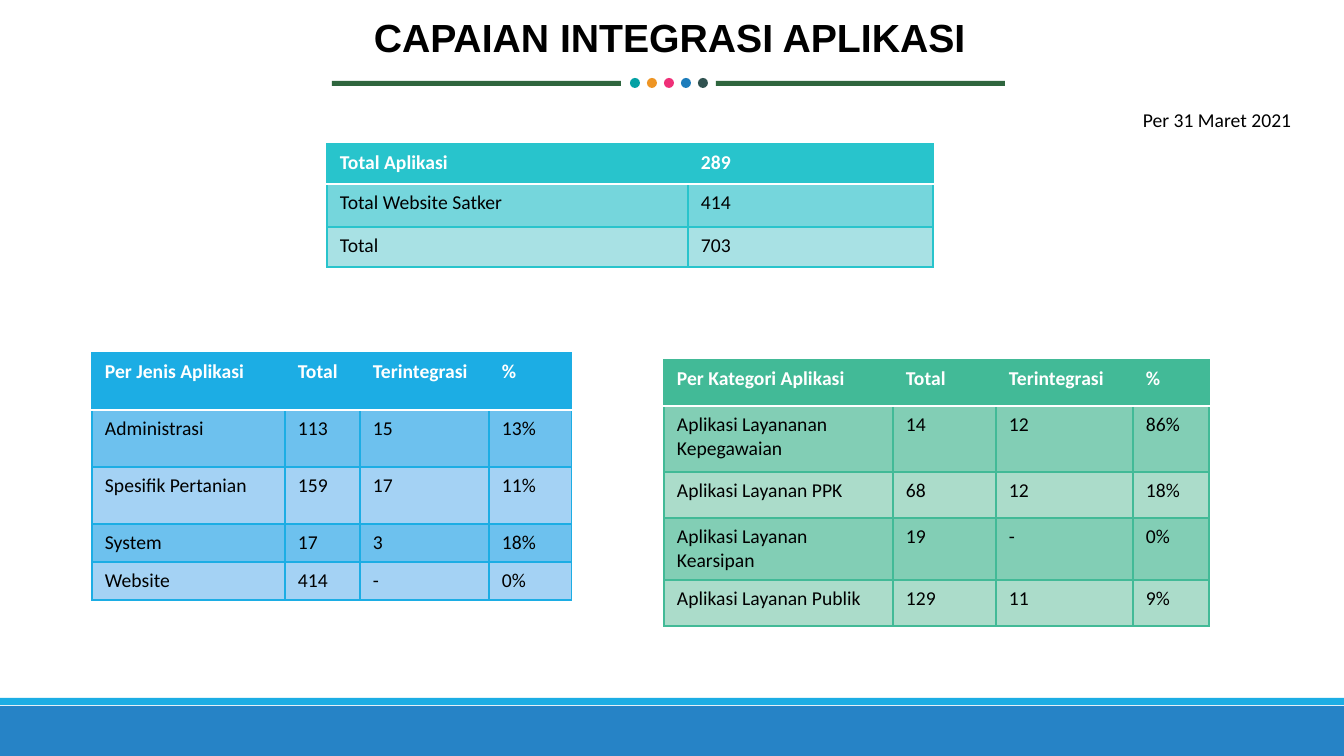
"""Build the slide on application integration results as of 31 March 2021."""
from lxml import etree
from pptx import Presentation
from pptx.dml.color import RGBColor
from pptx.enum.shapes import MSO_SHAPE
from pptx.enum.text import PP_ALIGN
from pptx.oxml.ns import qn
from pptx.util import Emu, Pt

PX = 914400 / 100.8
RECT, OVAL = MSO_SHAPE.RECTANGLE, MSO_SHAPE.OVAL
LEFT, CENTER = PP_ALIGN.LEFT, PP_ALIGN.CENTER
COLORS = {
    "black": "000000", "white": "FFFFFF", "footer": "2683C6", "rule": "2F663E",
    "teal": "28C4CC", "teal_band": "75D6DC", "teal_light": "A8E1E4",
    "blue": "1CADE4", "blue_band": "6DC1EE", "blue_light": "A4D2F4",
    "green": "42BA97", "green_band": "82CEB5", "green_light": "ABDCCA",
    "dot_teal": "03A1A4", "dot_orange": "EE9524", "dot_pink": "EF3078",
    "dot_blue": "1C7CBB", "dot_dark": "305250",
}
MARGINS = {"margin_left": 13, "margin_right": 13, "margin_top": 7, "margin_bottom": 7}


def px(*lengths):
    return [Emu(round(n * PX)) for n in lengths]


def write(tf, text, color="black", size=14, font="Calibri", bold=False, align=LEFT):
    p = tf.paragraphs[0]
    p.alignment = align
    r = p.add_run()
    r.text = text
    for name, value in {"size": Pt(size), "name": font, "bold": bold}.items():
        setattr(r.font, name, value)
    r.font.color.rgb = RGBColor.from_string(COLORS[color])


prs = Presentation()
prs.slide_width, prs.slide_height = px(1344, 756)
s = prs.slides.add_slide(prs.slide_layouts[6])

shapes = [
    (RECT, "footer", 0, 706, 1344, 50),
    (RECT, "blue", 0, 698, 1344, 7),
    (RECT, "rule", 716, 81, 289, 5),
    (RECT, "rule", 332, 81, 289, 5),
]
dots = ["dot_teal", "dot_orange", "dot_pink", "dot_blue", "dot_dark"]
shapes += [(OVAL, color, 630 + 17 * i, 78, 10, 10) for i, color in enumerate(dots)]
for kind, color, *box in shapes:
    sp = s.shapes.add_shape(kind, *px(*box))
    sp.shadow.inherit = False
    sp.fill.solid()
    sp.fill.fore_color.rgb = RGBColor.from_string(COLORS[color])
    sp.line.fill.background()

tables = [
    ("teal", 327, 144, [361, 245], [40, 43, 40], [
        ["Total Aplikasi", "289"],
        ["Total Website Satker", "414"],
        ["Total", "703"],
    ]),
    ("blue", 92, 353, [193, 75, 129, 83], [57, 57, 57, 38, 38], [
        ["Per Jenis Aplikasi", "Total", "Terintegrasi", "%"],
        ["Administrasi", "113", "15", "13%"],
        ["Spesifik Pertanian", "159", "17", "11%"],
        ["System", "17", "3", "18%"],
        ["Website", "414", "-", "0%"],
    ]),
    ("green", 664, 360, [229, 103, 137, 76], [46, 66, 46, 62, 46], [
        ["Per Kategori Aplikasi", "Total", "Terintegrasi", "%"],
        ["Aplikasi Layananan Kepegawaian", "14", "12", "86%"],
        ["Aplikasi Layanan PPK", "68", "12", "18%"],
        ["Aplikasi Layanan Kearsipan", "19", "-", "0%"],
        ["Aplikasi Layanan Publik", "129", "11", "9%"],
    ]),
]
for hue, x, y, widths, heights, rows in tables:
    box = px(x, y, sum(widths), sum(heights))
    table = s.shapes.add_table(len(rows), len(widths), *box).table
    for column, width in zip(table.columns, px(*widths)):
        column.width = width
    for row, height in zip(table.rows, px(*heights)):
        row.height = height
    for i, row in enumerate(rows):
        header = i == 0
        fill = hue if header else hue + ("_band" if i % 2 else "_light")
        for j, text in enumerate(row):
            cell = table.cell(i, j)
            for name, value in MARGINS.items():
                setattr(cell, name, px(value)[0])
            cell.fill.solid()
            cell.fill.fore_color.rgb = RGBColor.from_string(COLORS[fill])
            write(cell.text_frame, text, "white" if header else "black", bold=header)
            tcPr = cell._tc.get_or_add_tcPr()
            for k, side in enumerate(["lnL", "lnR", "lnT", "lnB"]):
                divider = (i, side) in [(0, "lnB"), (1, "lnT")]
                ln = etree.Element(qn("a:" + side), w=str(Pt(1.25 if divider else 1)))
                solid = etree.SubElement(ln, qn("a:solidFill"))
                line_color = COLORS["white" if divider else hue]
                etree.SubElement(solid, qn("a:srgbClr"), val=line_color)
                tcPr.insert(k, ln)

texts = [
    ("Per 31 Maret 2021", (1133, 103, 220, 34), {}),
    ("CAPAIAN INTEGRASI APLIKASI", (242, 8, 855, 57),
     {"size": 28, "font": "Arial", "bold": True, "align": CENTER}),
]
for text, box, style in texts:
    tf = s.shapes.add_textbox(*px(*box)).text_frame
    tf.word_wrap = True
    write(tf, text, **style)

prs.save("out.pptx")
